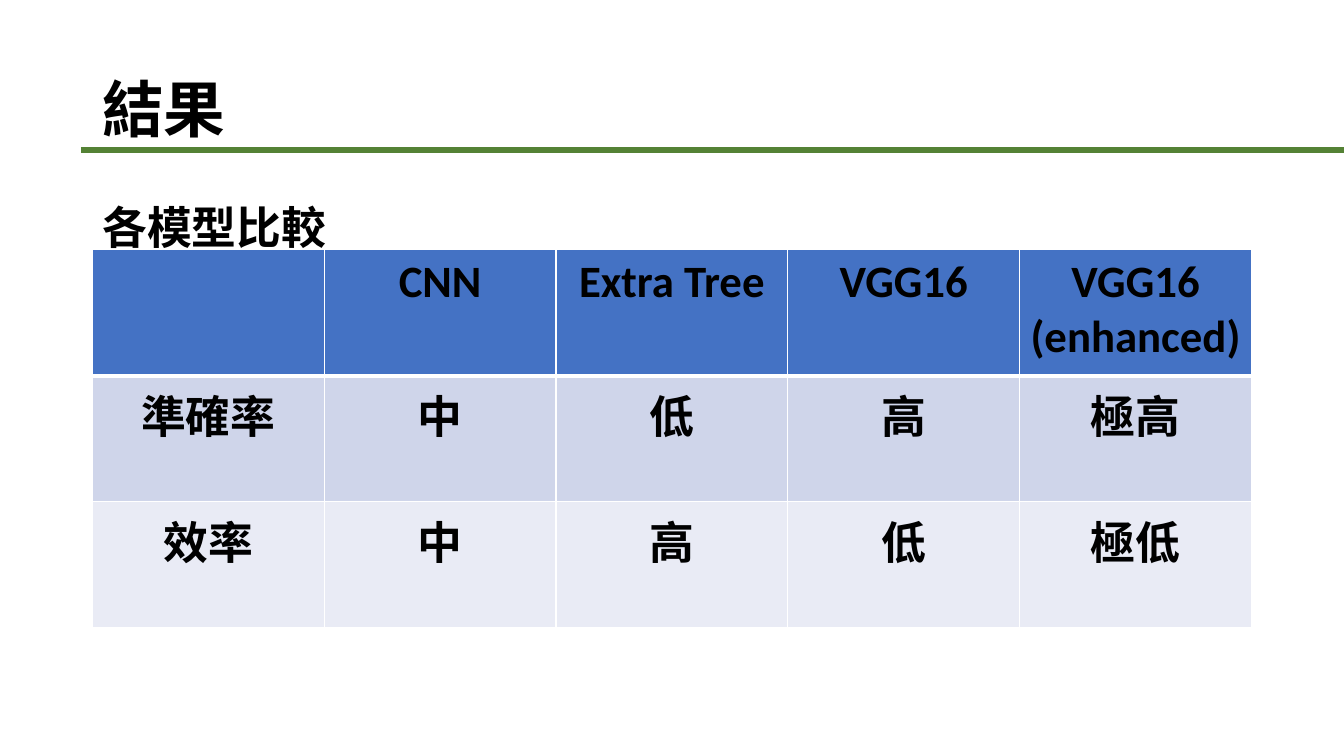
from lxml import etree
from pptx import Presentation
from pptx.dml.color import RGBColor
from pptx.enum.shapes import MSO_CONNECTOR
from pptx.enum.text import MSO_ANCHOR, MSO_AUTO_SIZE, PP_ALIGN
from pptx.oxml.ns import qn
from pptx.util import Pt

STRAIGHT = MSO_CONNECTOR.STRAIGHT
CENTER = PP_ALIGN.CENTER
TOP, MIDDLE = MSO_ANCHOR.TOP, MSO_ANCHOR.MIDDLE
GROW = MSO_AUTO_SIZE.SHAPE_TO_FIT_TEXT

EMU_PER_PX = 9525
PAGE_WIDTH, PAGE_HEIGHT = 1280, 720
LEFT, CONTENT_WIDTH = 88, 1104
TABLE_TOP, ROW_HEIGHT = 238, 120

COLORS = {
    "text": "000000",
    "rule": "548235",
    "border": "FFFFFF",
    "header": "4472C4",
    "odd": "CFD5EA",
    "even": "E9EBF5",
}
LATIN_FONT, CJK_FONT = "Calibri", "Noto Sans CJK SC"

COMPARISON = [
    ["", "CNN", "Extra Tree", "VGG16", "VGG16\n(enhanced)"],
    ["準確率", "中", "低", "高", "極高"],
    ["效率", "中", "高", "低", "極低"],
]


def px(length):
    return length * EMU_PER_PX


def color(name):
    return RGBColor.from_string(COLORS[name])


def add_span(para, text, size):
    """Add a bold run, with the font that suits its script."""
    span = para.add_run()
    span.text = text
    span.font.size = Pt(size)
    span.font.bold = True
    span.font.color.rgb = color("text")
    span.font.name = LATIN_FONT if text.isascii() else CJK_FONT
    east_asian = etree.SubElement(span.font._element, qn("a:ea"))
    east_asian.set("typeface", CJK_FONT)


def add_heading(page, text, top, height, size, spacing, anchor):
    box = page.shapes.add_textbox(px(LEFT), px(top), px(CONTENT_WIDTH), px(height))
    frame = box.text_frame
    frame.word_wrap = True
    frame.vertical_anchor = anchor
    para = frame.paragraphs[0]
    para.line_spacing = spacing
    add_span(para, text, size)
    return box


def add_rule(page, left, right, y):
    rule = page.shapes.add_connector(STRAIGHT, px(left), px(y), px(right), px(y))
    rule.line.color.rgb = color("rule")
    rule.line.width = Pt(4.5)
    etree.SubElement(rule._element.spPr, qn("a:effectLst"))


def set_borders(cell, top, bottom):
    """Draw all four borders; top and bottom are widths in points."""
    properties = cell._tc.get_or_add_tcPr()
    for side, width in (("L", 1), ("R", 1), ("T", top), ("B", bottom)):
        border = etree.SubElement(properties, qn(f"a:ln{side}"), w=str(Pt(width)))
        fill = etree.SubElement(border, qn("a:solidFill"))
        etree.SubElement(fill, qn("a:srgbClr"), val=COLORS["border"])


def fill_cell(cell, text, fill):
    cell.fill.solid()
    cell.fill.fore_color.rgb = color(fill)
    if not text:
        return
    frame = cell.text_frame
    for index, line in enumerate(text.split("\n")):
        para = frame.add_paragraph() if index else frame.paragraphs[0]
        para.alignment = CENTER
        add_span(para, line, 32)


def add_comparison(page, rows):
    frame = page.shapes.add_table(
        len(rows), len(rows[0]), px(LEFT), px(TABLE_TOP),
        px(CONTENT_WIDTH), px(ROW_HEIGHT * len(rows)))
    table = frame.table
    for row_index, (row, fill) in enumerate(zip(rows, ("header", "odd", "even"))):
        table.rows[row_index].height = px(ROW_HEIGHT)
        for column_index, text in enumerate(row):
            cell = table.cell(row_index, column_index)
            set_borders(cell, top=3 if row_index == 1 else 1,
                        bottom=3 if row_index == 0 else 1)
            fill_cell(cell, text, fill)


def main():
    deck = Presentation()
    deck.slide_width, deck.slide_height = px(PAGE_WIDTH), px(PAGE_HEIGHT)
    page = deck.slides.add_slide(deck.slide_layouts[6])
    add_heading(page, "結果", 38, 139, 44, 0.9, MIDDLE)
    subtitle = add_heading(page, "各模型比較", 160, 78, 32, 1.5, TOP)
    subtitle.text_frame.auto_size = GROW
    add_rule(page, 77, PAGE_WIDTH, 143)
    add_comparison(page, COMPARISON)
    deck.save("out.pptx")


if __name__ == "__main__":
    main()
